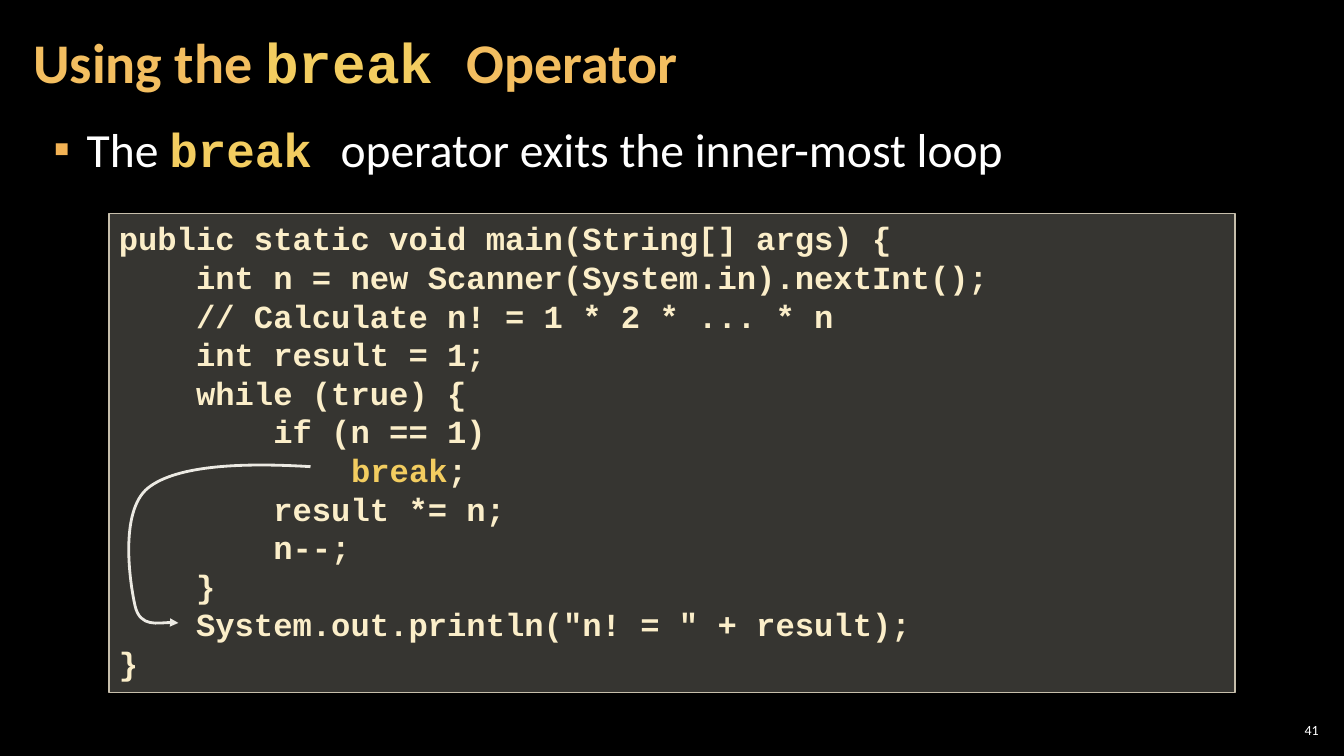
from dataclasses import dataclass

from lxml.etree import SubElement
from pptx import Presentation
from pptx.dml.color import RGBColor
from pptx.enum.shapes import MSO_SHAPE
from pptx.enum.text import MSO_ANCHOR as Anchor
from pptx.enum.text import MSO_AUTO_SIZE as AutoSize
from pptx.enum.text import PP_ALIGN as Align
from pptx.oxml.ns import qn
from pptx.util import Inches, Pt

BLACK = RGBColor(0x00, 0x00, 0x00)
WHITE = RGBColor(0xFF, 0xFF, 0xFF)
TITLE_ORANGE = RGBColor(0xF3, 0xBE, 0x60)
KEYWORD_YELLOW = RGBColor(0xF3, 0xCD, 0x60)
BULLET_ORANGE = RGBColor(0xF2, 0xB2, 0x54)
CODE_CREAM = RGBColor(0xFB, 0xEE, 0xC9)
PANEL_FILL = RGBColor(0xD9, 0xD5, 0xC7)
PANEL_LINE = RGBColor(0xC7, 0xBF, 0xAC)
ARROW_LINE = RGBColor(0xEC, 0xEA, 0xE3)
SANS, MONO = "Calibri", "Courier New"

CODE = '''public static void main(String[] args) {
    int n = new Scanner(System.in).nextInt();
    // Calculate n! = 1 * 2 * ... * n
    int result = 1;
    while (true) {
        if (n == 1)
            break;
        result *= n;
        n--;
    }
    System.out.println("n! = " + result);
}'''

# Start point, then two control points and an end point for each curve
ARROW_POINTS = [
    (3.08, 4.63),
    (2.43, 4.59), (1.76, 4.61), (1.47, 4.84),
    (1.18, 5.07), (1.29, 5.79), (1.34, 6.01),
    (1.39, 6.23), (1.68, 6.16), (1.77, 6.18),
]


@dataclass
class Style:
    size: float
    color: RGBColor
    name: str = SANS
    bold: bool = False


def add_run(p, text: str, style: Style) -> None:
    r = p.add_run()
    r.text = text
    r.font.color.rgb = style.color
    formats = {"name": style.name, "size": Pt(style.size), "bold": style.bold}
    for key, value in formats.items():
        setattr(r.font, key, value)


def add_keyword_line(p, line: str, plain: Style, keyword: Style, word: str) -> None:
    """Write a line, giving the given word the keyword style."""
    before, found, after = line.partition(word)
    for text, style in ((before, plain), (found, keyword), (after, plain)):
        if text:
            add_run(p, text, style)


def place(sp, left: float, top: float, width: float, height: float) -> None:
    box = {"left": left, "top": top, "width": width, "height": height}
    for key, value in box.items():
        setattr(sp, key, Inches(value))


def format_frame(tf, side: float, edge: float, anchor: Anchor,
                 auto_size: AutoSize = AutoSize.NONE) -> None:
    formats = {
        "margin_left": Inches(side), "margin_right": Inches(side),
        "margin_top": Inches(edge), "margin_bottom": Inches(edge),
        "vertical_anchor": anchor, "word_wrap": True, "auto_size": auto_size,
    }
    for key, value in formats.items():
        setattr(tf, key, value)


def add_bullet(p, char: str, color: RGBColor, indent: float) -> None:
    pPr = p._p.get_or_add_pPr()
    pPr.set("marL", str(Inches(indent)))
    pPr.set("indent", str(-Inches(indent)))
    SubElement(SubElement(pPr, qn("a:buClr")), qn("a:srgbClr"), val=str(color))
    SubElement(pPr, qn("a:buFont"), typeface="Arial")
    SubElement(pPr, qn("a:buChar"), char=char)


def add_title(s) -> None:
    sp = s.shapes.title
    place(sp, 0.21, 0.04, 10.47, 1.21)
    format_frame(sp.text_frame, 0.12, 0.04, Anchor.MIDDLE)
    p = sp.text_frame.paragraphs[0]
    p.alignment, p.line_spacing = Align.LEFT, 0.9
    add_keyword_line(p, "Using the break Operator",
                     Style(40, TITLE_ORANGE, bold=True),
                     Style(40, KEYWORD_YELLOW, MONO, True), "break ")


def add_body(s) -> None:
    sp = s.placeholders[1]
    place(sp, 0.41, 1.15, 12.5, 0.71)
    format_frame(sp.text_frame, 0.12, 0.04, Anchor.TOP)
    p = sp.text_frame.paragraphs[0]
    add_bullet(p, "▪", BULLET_ORANGE, 0.33)
    p.space_before, p.space_after = Pt(0), Pt(6)
    add_keyword_line(p, "The break operator exits the inner-most loop",
                     Style(34, WHITE), Style(34, KEYWORD_YELLOW, MONO, True), "break ")


def add_code_panel(s) -> None:
    sp = s.shapes.add_shape(MSO_SHAPE.RECTANGLE, 0, 0, 0, 0)
    place(sp, 1.08, 2.12, 11.17, 4.75)
    sp.shadow.inherit = False
    sp.fill.solid()
    sp.fill.fore_color.rgb = PANEL_FILL
    fill_color = sp._element.spPr.find(qn("a:solidFill")).find(qn("a:srgbClr"))
    SubElement(fill_color, qn("a:alpha"), val="25000")
    sp.line.color.rgb, sp.line.width = PANEL_LINE, Pt(1)
    tf = sp.text_frame
    format_frame(tf, 0.1, 0.05, Anchor.TOP, AutoSize.SHAPE_TO_FIT_TEXT)
    plain = Style(23, CODE_CREAM, MONO, True)
    keyword = Style(23, KEYWORD_YELLOW, MONO, True)
    for i, line in enumerate(CODE.splitlines()):
        p = tf.add_paragraph() if i else tf.paragraphs[0]
        p.alignment = Align.LEFT
        add_keyword_line(p, line, plain, keyword, "break")


def add_jump_arrow(s) -> None:
    """Draw the curved arrow from the break to the line after the loop."""
    start, *rest = [(Inches(x), Inches(y)) for x, y in ARROW_POINTS]
    builder = s.shapes.build_freeform(*start)
    builder.add_line_segments(rest, close=False)
    sp = builder.convert_to_shape()
    path = next(sp._element.iter(qn("a:path")))
    segments = path.findall(qn("a:lnTo"))
    for i in range(0, len(segments), 3):
        curve = SubElement(path, qn("a:cubicBezTo"))
        for segment in segments[i:i + 3]:
            curve.append(segment[0])
            path.remove(segment)
    sp.shadow.inherit = False
    sp.fill.background()
    sp.line.color.rgb, sp.line.width = ARROW_LINE, Pt(2)
    SubElement(sp.line._get_or_add_ln(), qn("a:tailEnd"), type="triangle")


def add_slide_number(s) -> None:
    sp = s.shapes.add_textbox(0, 0, 0, 0)
    place(sp, 12.65, 7.14, 0.47, 0.21)
    format_frame(sp.text_frame, 0.04, 0.04, Anchor.MIDDLE)
    p = sp.text_frame.paragraphs[0]
    p.alignment = Align.RIGHT
    add_run(p, "41", Style(10, WHITE))


def main() -> None:
    prs = Presentation()
    prs.slide_width, prs.slide_height = Inches(13.33), Inches(7.5)
    s = prs.slides.add_slide(prs.slide_layouts[1])
    s.background.fill.solid()
    s.background.fill.fore_color.rgb = BLACK
    for add_part in (add_title, add_body, add_code_panel, add_jump_arrow,
                     add_slide_number):
        add_part(s)
    prs.save("out.pptx")


if __name__ == "__main__":
    main()
